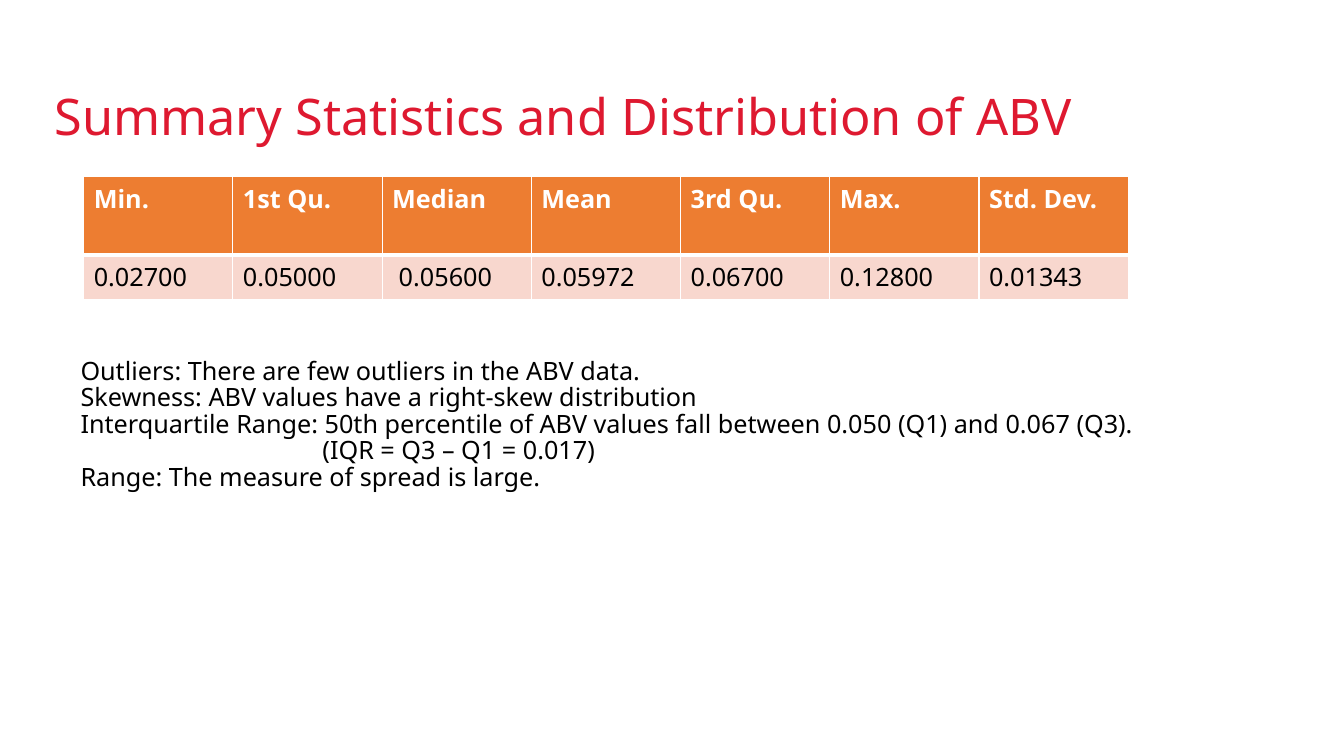
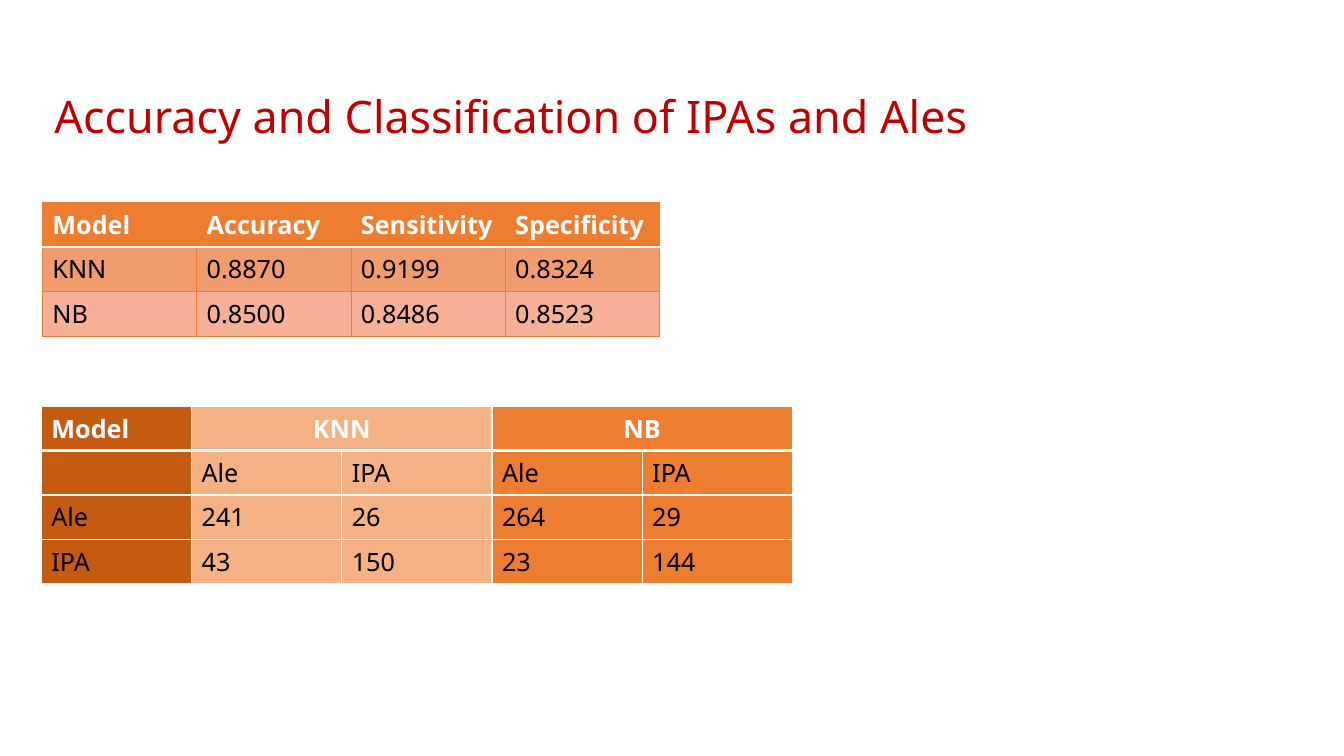
from pptx import Presentation
from pptx.dml.color import RGBColor
from pptx.enum.text import MSO_ANCHOR as Anchor, MSO_AUTO_SIZE as Fit, PP_ALIGN as Align
from pptx.util import Inches, Pt
from lxml.etree import SubElement
from pptx.oxml.ns import qn

FONT = "Noto Sans"
RED, DEEP = RGBColor(0xDE, 0x19, 0x30), RGBColor(0xC0, 0, 0)
BLACK, WHITE = RGBColor(0, 0, 0), RGBColor(255, 255, 255)
ORANGE, RUST = RGBColor(0xED, 0x7D, 0x31), RGBColor(0xC5, 0x5A, 0x11)
PEACH, PINK = RGBColor(0xF4, 0xB1, 0x83), RGBColor(0xF8, 0xD7, 0xCE)
CORAL, ROSE = RGBColor(0xF1, 0x9C, 0x6F), RGBColor(0xF5, 0xB0, 0x96)
LINE = 0.44  # height of a row with one line of text

STATS = [
    ["Min.", "1st Qu.", "Median", "Mean", "3rd Qu.", "Max.", "Std. Dev."],
    ["0.02700", "0.05000", "\u00a00.05600", "0.05972", "0.06700", "0.12800", "0.01343"],
]
NOTES = [  # text, indent in inches
    ("Outliers: There are few outliers in the ABV data.", 0),
    ("Skewness: ABV values have a right-skew distribution", 0),
    ("Interquartile Range: 50th percentile of ABV values fall between "
     "0.050 (Q1) and 0.067 (Q3).", 0),
    ("(IQR = Q3 – Q1 = 0.017)", 2.4),
    ("Range: The measure of spread is large.", 0),
]
SCORES = [
    ["Model", "Accuracy", "Sensitivity", "Specificity"],
    ["KNN", "0.8870", "0.9199", "0.8324"],
    ["NB", "0.8500", "0.8486", "0.8523"],
]
COUNTS = [  # None joins the cell to its left
    ["Model", "KNN", None, "NB", None],
    ["", "Ale", "IPA", "Ale", "IPA"],
    ["Ale", "241", "26", "264", "29"],
    ["IPA", "43", "150", "23", "144"],
]


def write(par, text, size=18, color=BLACK, bold=False, align=Align.LEFT, space=None, indent=0):
    """Put formatted text in a paragraph."""
    par.alignment = align
    if space:
        par.line_spacing = space
    if indent:
        par._p.get_or_add_pPr().set("marL", str(Inches(indent)))
    run = par.add_run()
    run.text = text
    font = run.font
    font.name, font.size, font.bold = FONT, Pt(size), bold
    font.color.rgb = color


def add_page(deck, title, **form):
    """Add a slide with the shared title style."""
    page = deck.slides.add_slide(deck.slide_layouts[5])
    head = page.shapes.title
    head.left, head.top = Inches(0.44), Inches(0.46)
    head.width, head.height = Inches(10.99), Inches(1.45)
    frame = head.text_frame
    frame.auto_size, frame.vertical_anchor = Fit.NONE, Anchor.MIDDLE
    write(frame.paragraphs[0], title, space=0.9, **form)
    return page


def set_edges(cell, edges):
    """Draw the four borders of a cell from (colour, width) pairs."""
    props = cell._tc.get_or_add_tcPr()
    for side, (color, width) in zip("LRTB", edges):
        line = SubElement(props, qn("a:ln" + side), w=str(Pt(width)))
        fill = SubElement(line, qn("a:solidFill"))
        SubElement(fill, qn("a:srgbClr"), val=str(color))


def add_grid(page, rows, left, top, col, paint, edge, rule, head=LINE):
    """Add a table with equal columns; paint(row, column) gives each fill."""
    high = [head] + [LINE] * (len(rows) - 1)
    wide = len(rows[0])
    grid = page.shapes.add_table(len(rows), wide, Inches(left), Inches(top),
                                 Inches(col * wide), Inches(sum(high))).table
    for part in grid.columns:
        part.width = Inches(col)
    for r, row in enumerate(rows):
        grid.rows[r].height = Inches(high[r])
        for c, text in enumerate(row):
            cell = grid.cell(r, c)
            set_edges(cell, (edge, edge, rule if r == 1 else edge, rule if r == 0 else edge))
            cell.fill.solid()
            cell.fill.fore_color.rgb = paint(r, c)
            if text is None:
                grid.cell(r, c - 1).merge(cell)
                continue
            joined = c + 1 < wide and row[c + 1] is None
            write(cell.text_frame.paragraphs[0], text, bold=r == 0,
                  color=BLACK if r else WHITE,
                  align=Align.CENTER if joined else Align.LEFT)


def add_notes(page, notes, left, top, width, height):
    """Add a text box with one paragraph for each note."""
    box = page.shapes.add_textbox(Inches(left), Inches(top), Inches(width), Inches(height))
    frame = box.text_frame
    frame.word_wrap = True
    for i, (text, indent) in enumerate(notes):
        par = frame.add_paragraph() if i else frame.paragraphs[0]
        write(par, text, indent=indent, space=0.88)


deck = Presentation()
deck.slide_width, deck.slide_height = Inches(13.33), Inches(7.5)

page = add_page(deck, "Summary Statistics and Distribution of ABV", size=36, color=RED)
add_grid(page, STATS, 0.83, 1.75, 1.48, lambda r, c: (ORANGE, PINK)[r],
         edge=(WHITE, 1), rule=(WHITE, 3), head=0.78)
add_notes(page, NOTES, 0.7, 3.51, 11.01, 1.62)

page = add_page(deck, "Accuracy and Classification of IPAs and Ales", size=32, color=DEEP)
add_grid(page, SCORES, 0.42, 2.01, 1.53, lambda r, c: (ORANGE, CORAL, ROSE)[r],
         edge=(ORANGE, 0.5), rule=(WHITE, 1))
add_grid(page, COUNTS, 0.41, 4.03, 1.49, lambda r, c: (RUST, PEACH, ORANGE)[(c + 1) // 2],
         edge=(WHITE, 1), rule=(WHITE, 3))

deck.save("out.pptx")
